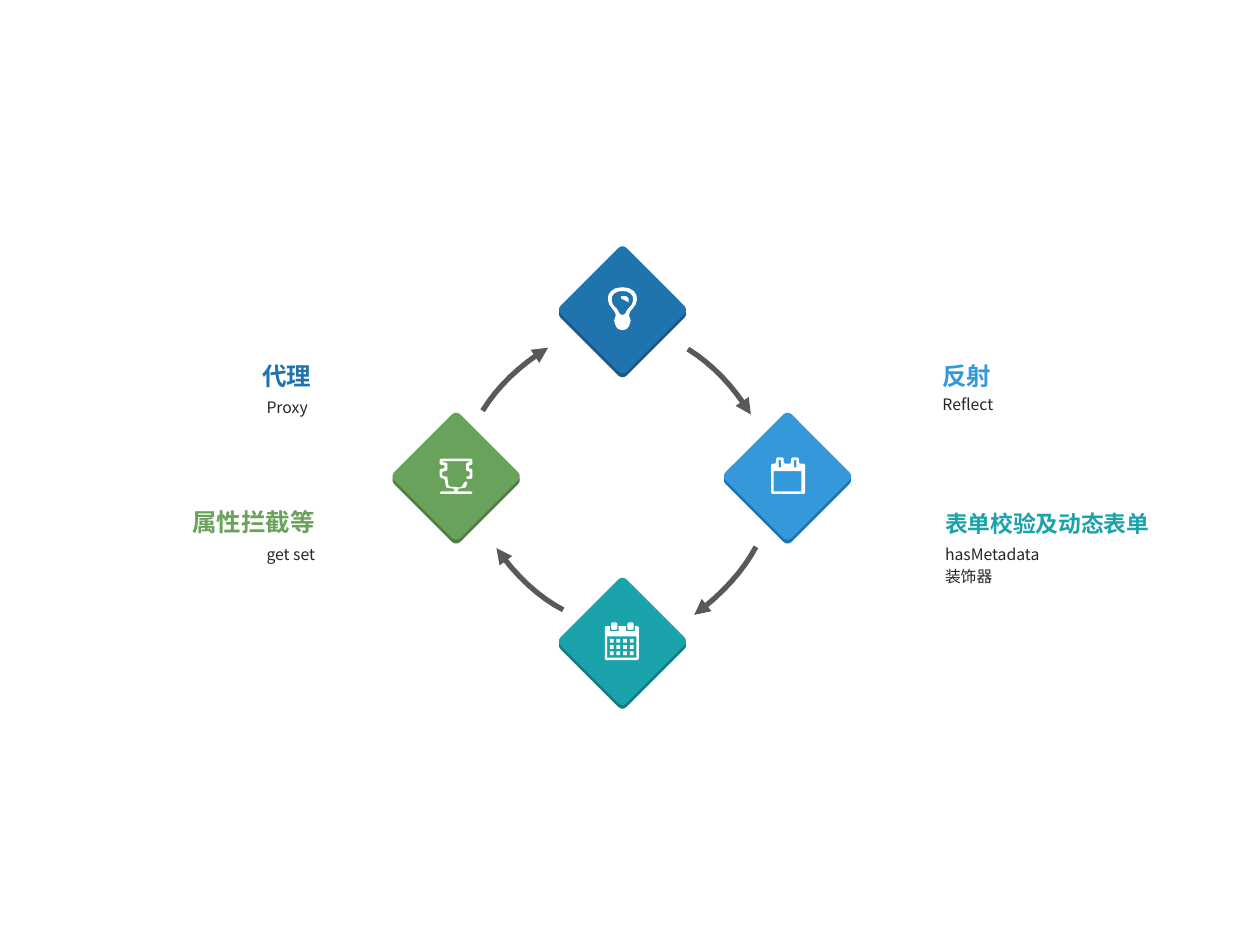
import math

from lxml import etree
from pptx import Presentation
from pptx import util as u
from pptx.dml.color import RGBColor
from pptx.enum import shapes, text
from pptx.oxml import ns

FONT = "Noto Sans CJK SC"
WHITE = RGBColor(0xFF, 0xFF, 0xFF)
INK = RGBColor(0x26, 0x26, 0x26)
GRAY = RGBColor(0x59, 0x59, 0x59)
NAVY = RGBColor(0x1F, 0x74, 0xAD)
NAVY_DARK = RGBColor(0x17, 0x57, 0x82)
SKY = RGBColor(0x34, 0x98, 0xDB)
TEAL = RGBColor(0x1A, 0xA3, 0xAA)
TEAL_DARK = RGBColor(0x14, 0x7A, 0x80)
GREEN = RGBColor(0x69, 0xA3, 0x5B)
GREEN_DARK = RGBColor(0x4F, 0x7A, 0x44)

TROPHY = [
    (3.49, 3.64), (3.75, 3.64), (3.75, 3.69), (3.72, 3.69), (3.72, 3.72),
    (3.75, 3.72), (3.75, 3.80), (3.70, 3.80), (3.70, 3.78), (3.73, 3.78),
    (3.73, 3.74), (3.70, 3.74), (3.70, 3.67), (3.73, 3.67), (3.73, 3.66),
    (3.51, 3.66), (3.51, 3.67), (3.55, 3.67), (3.55, 3.74), (3.51, 3.74),
    (3.51, 3.78), (3.55, 3.78), (3.56, 3.86), (3.66, 3.87), (3.69, 3.82),
    (3.71, 3.82), (3.70, 3.87), (3.63, 3.88), (3.63, 3.90), (3.75, 3.90),
    (3.75, 3.92), (3.49, 3.92), (3.49, 3.90), (3.61, 3.90), (3.61, 3.88),
    (3.54, 3.87), (3.53, 3.80), (3.49, 3.79), (3.49, 3.72), (3.53, 3.72),
    (3.53, 3.69), (3.49, 3.69),
]
BULB_HALF = [(5.00, 2.28), (5.06, 2.34), (5.05, 2.42), (5.00, 2.47),
             (4.99, 2.51), (5.01, 2.54), (4.99, 2.60), (4.96, 2.62)]
GLASS_HALF = [(4.98, 2.31), (5.03, 2.35), (5.02, 2.42), (4.98, 2.45), (4.96, 2.50)]
GLINT = [(4.93, 2.35), (4.97, 2.35), (4.99, 2.37), (4.99, 2.40), (4.97, 2.39), (4.93, 2.37)]


def quadratic(a, b, c, steps):
    ts = [i / steps for i in range(steps + 1)]
    return [tuple((1 - t) ** 2 * m + 2 * t * (1 - t) * n + t * t * o
                  for m, n, o in zip(a, b, c)) for t in ts]


def toward(a, b, radius):
    t = min(radius / math.dist(a, b), 0.5)
    return tuple(m + t * (n - m) for m, n in zip(a, b))


def rounded(corners, radius, steps=1):
    outline = []
    for i, corner in enumerate(corners):
        before, after = corners[i - 1], corners[(i + 1) % len(corners)]
        outline += quadratic(toward(corner, before, radius), corner,
                             toward(corner, after, radius), steps)
    return outline


def box(x, y, w, h):
    return [(x, y), (x + w, y), (x + w, y + h), (x, y + h)]


def mirrored(half, axis):
    return half + [(2 * axis - x, y) for x, y in reversed(half)]


def freeform(slide, contours, close=True):
    contours = [[(u.Inches(x), u.Inches(y)) for x, y in c] for c in contours]
    builder = slide.shapes.build_freeform(*contours[0][0])
    for i, contour in enumerate(contours):
        if i:
            builder.move_to(*contour[0])
        builder.add_line_segments(contour[1:], close=close)
    sp = builder.convert_to_shape()
    sp.shadow.inherit = False
    return sp


def paint(sp, color):
    sp.fill.solid()
    sp.fill.fore_color.rgb = color
    sp.line.fill.background()


def add_tile(slide, cx, cy, color, edge):
    side = 0.74
    for dy, shade in ((0.03, edge), (0, color)):
        sp = slide.shapes.add_shape(
            shapes.MSO_SHAPE.ROUNDED_RECTANGLE, u.Inches(cx - side / 2),
            u.Inches(cy + dy - side / 2), u.Inches(side), u.Inches(side))
        sp.adjustments[0] = 0.06
        sp.rotation = 45
        sp.shadow.inherit = False
        paint(sp, shade)


def add_arc_arrow(slide, start, middle, end):
    control = tuple(2 * m - (a + b) / 2 for a, m, b in zip(start, middle, end))
    sp = freeform(slide, [quadratic(start, control, end, 8)], close=False)
    sp.fill.background()
    sp.line.color.rgb = GRAY
    sp.line.width = u.Pt(3)
    ln = sp.element.spPr.find(ns.qn("a:ln"))
    etree.SubElement(ln, ns.qn("a:tailEnd"), type="triangle")


def add_trophy(slide):
    paint(freeform(slide, [rounded(TROPHY, 0.01)]), WHITE)


def add_bulb(slide):
    curves = [rounded(mirrored(half, 4.94), 0.1, 2) for half in (BULB_HALF, GLASS_HALF)]
    paint(freeform(slide, [*curves, GLINT]), WHITE)


def add_month_calendar(slide):
    contours = [rounded(box(4.8, 4.97, 0.27, 0.27), 0.01), box(4.82, 5.05, 0.23, 0.17)]
    contours += [box(4.84 + 0.053 * col, 5.07 + 0.05 * row, 0.03, 0.03)
                 for row in range(3) for col in range(4)]
    for x in (4.84, 4.97):
        contours += [box(x, 4.97, 0.07, 0.04),
                     rounded(box(x + 0.01, 4.94, 0.05, 0.06), 0.01)]
    paint(freeform(slide, contours), WHITE)


def add_blank_calendar(slide):
    rings = (6.16, 6.28)
    outline = [(6.12, 3.68)]
    for x in rings:
        outline += [(x, 3.68), (x, 3.63), (x + 0.06, 3.63), (x + 0.06, 3.68)]
    outline += [(6.39, 3.68), (6.39, 3.92), (6.12, 3.92)]
    holes = [box(x + 0.02, 3.65, 0.02, 0.06) for x in rings]
    contours = [rounded(outline, 0.01), box(6.14, 3.74, 0.22, 0.16), *holes]
    paint(freeform(slide, contours), WHITE)


def add_label(slide, x, y, height, lines, size, color, align, heading=False, spacing=1.2):
    tb = slide.shapes.add_textbox(u.Inches(x), u.Inches(y), u.Inches(2.22), u.Inches(height))
    tf = tb.text_frame
    tf.word_wrap = True
    tf.vertical_anchor = text.MSO_ANCHOR.BOTTOM if heading else text.MSO_ANCHOR.TOP
    tf.margin_left = tf.margin_right = u.Inches(0.07)
    tf.margin_top = u.Inches(0.04 if heading else 0)
    tf.margin_bottom = u.Inches(0 if heading else 0.04)
    for i, line in enumerate(lines):
        p = tf.add_paragraph() if i else tf.paragraphs[0]
        p.alignment = align
        p.line_spacing = spacing
        r = p.add_run()
        r.text = line
        r.font.name = FONT
        r.font.size = u.Pt(size)
        r.font.bold = heading
        r.font.color.rgb = color
        etree.SubElement(r.font._element, ns.qn("a:ea"), typeface=FONT)


def add_topic(slide, x, y, title, size, color, details, align, spacing=1.2):
    add_label(slide, x, y, 0.43, [title], size, color, align, heading=True)
    add_label(slide, x, y + 0.46, 0.54, details, 9, INK, align, spacing=spacing)


def main():
    prs = Presentation()
    prs.slide_width, prs.slide_height = u.Inches(10), u.Inches(7.5)
    s = prs.slides.add_slide(prs.slide_layouts[6])

    add_tile(s, 3.62, 3.78, GREEN, GREEN_DARK)
    add_tile(s, 6.25, 3.78, SKY, NAVY)
    add_tile(s, 4.94, 5.09, TEAL, TEAL_DARK)
    add_tile(s, 4.94, 2.46, NAVY, NAVY_DARK)

    add_arc_arrow(s, (3.83, 3.26), (4.05, 2.99), (4.35, 2.76))
    add_arc_arrow(s, (6.00, 4.34), (5.80, 4.62), (5.51, 4.88))
    add_arc_arrow(s, (4.47, 4.84), (4.19, 4.64), (3.94, 4.35))
    add_arc_arrow(s, (5.46, 2.77), (5.73, 2.99), (5.96, 3.29))

    add_trophy(s)
    add_month_calendar(s)
    add_blank_calendar(s)
    add_bulb(s)

    left, right = text.PP_ALIGN.LEFT, text.PP_ALIGN.RIGHT
    add_topic(s, 0.32, 2.67, "代理", 14, NAVY, ["Proxy "], right)
    add_topic(s, 0.35, 3.83, "属性拦截等", 14, GREEN, ["get set"], right)
    add_topic(s, 7.41, 2.67, "反射", 14, SKY, ["Reflect"], left, spacing=1.0)
    add_topic(s, 7.43, 3.83, "表单校验及动态表单", 13, TEAL, ["hasMetadata", "装饰器"], left)
    prs.save("out.pptx")


if __name__ == "__main__":
    main()
